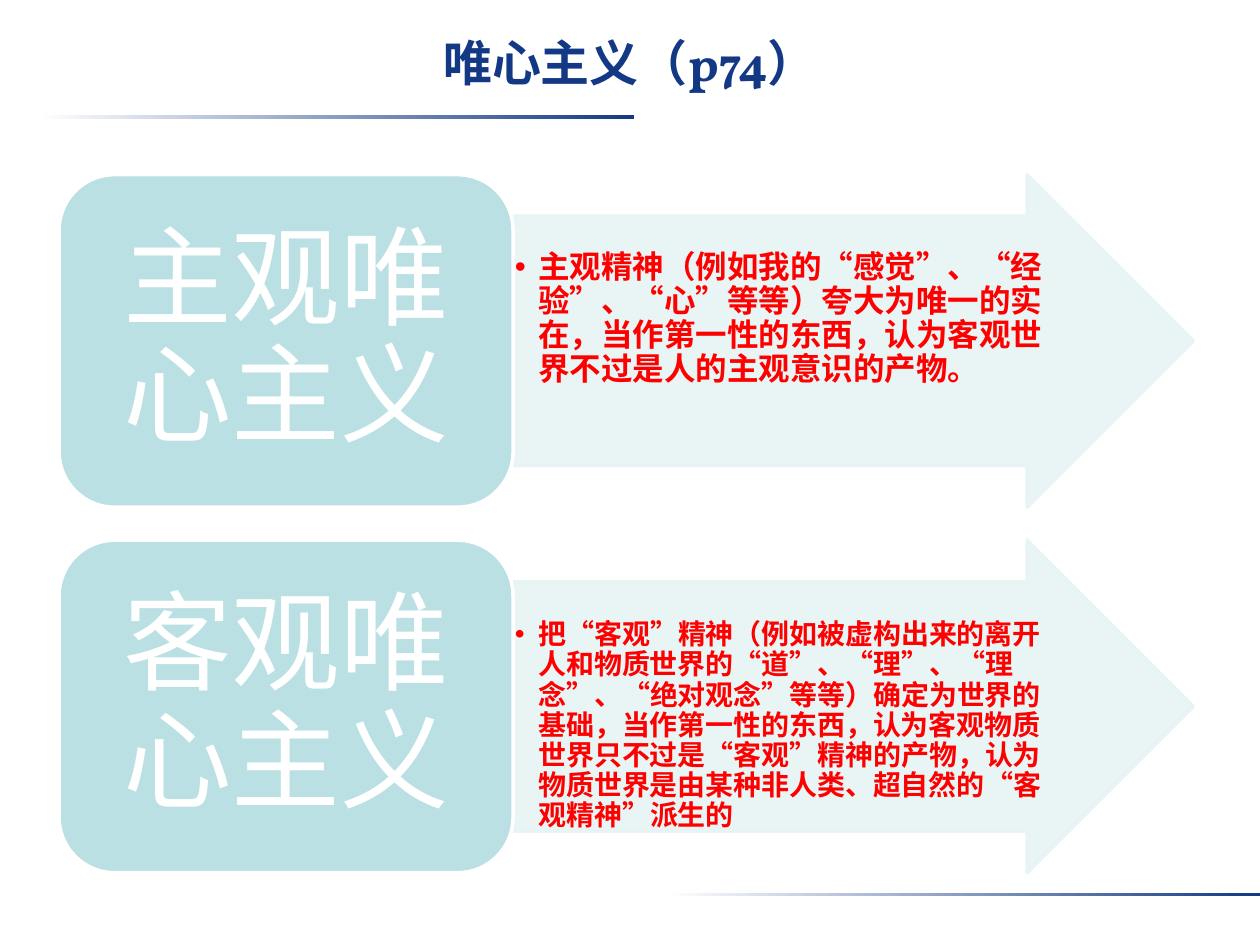
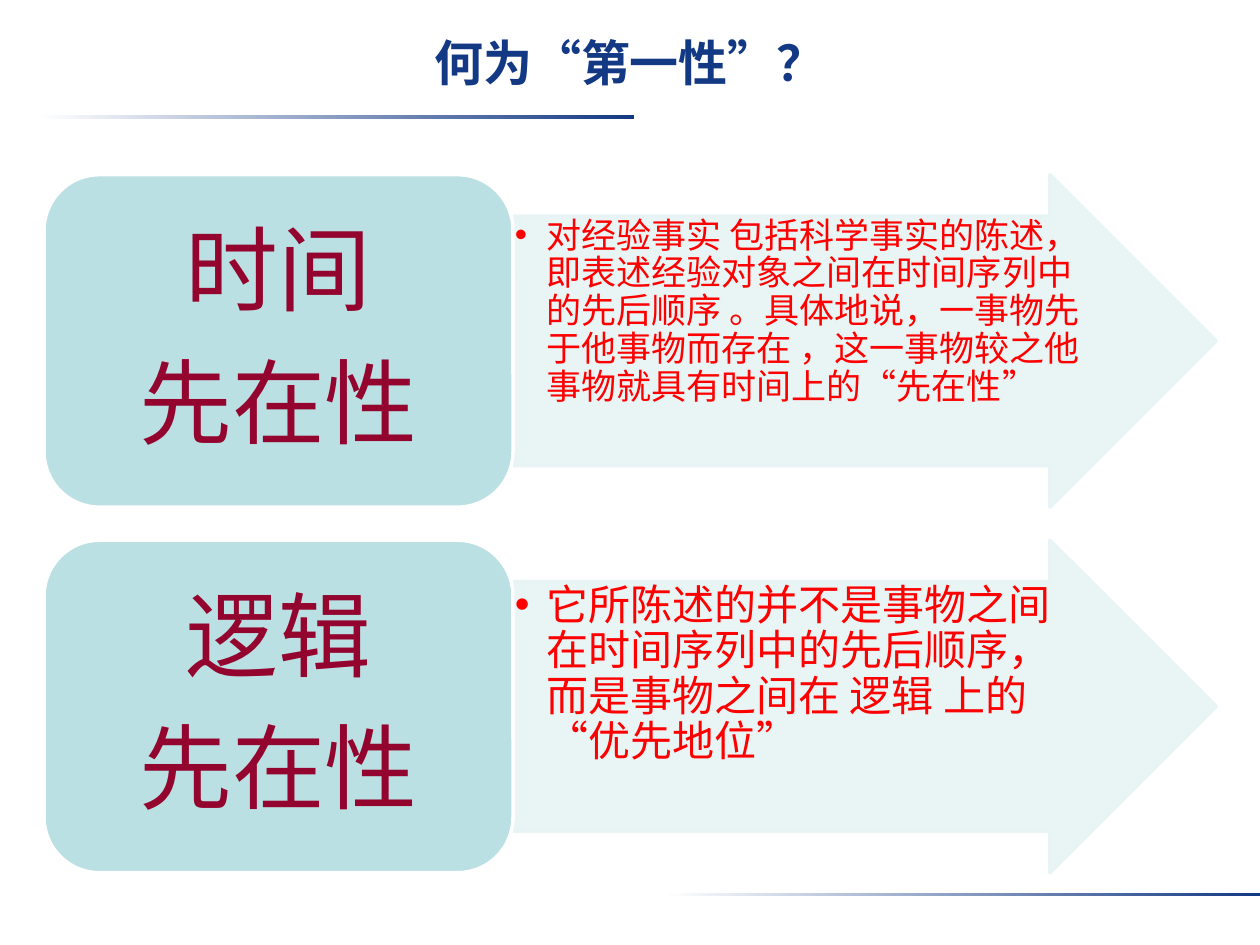
from itertools import groupby

from lxml.etree import SubElement
from pptx import Presentation
from pptx.dml.color import RGBColor
from pptx.enum.shapes import MSO_SHAPE as Shape
from pptx.enum.text import MSO_ANCHOR as Anchor, PP_ALIGN as Align
from pptx.oxml.ns import qn
from pptx.util import Pt

NAVY = RGBColor(0x13, 0x39, 0x84)
WHITE = RGBColor(0xFF, 0xFF, 0xFF)
TEAL = RGBColor(0xBB, 0xE0, 0xE3)
PALE = RGBColor(0xE7, 0xF3, 0xF4)
RED = RGBColor(0xFF, 0x00, 0x00)
WINE = RGBColor(0x93, 0x05, 0x2E)

SERIF, SANS, QUOTE_FONT = "Vollkorn", "Noto Sans CJK SC", "Arial"

SLIDE_WIDTH = 720
BAND_WIDTH = 340
BANDS = [(22.3, 65.7, 2.2), (SLIDE_WIDTH - BAND_WIDTH, 510, 1.9)]  # left, top, height
ROW_TOP, ROW_STEP, ROW_HEIGHT = 99.8, 208.9, 190
SPLIT = 293.2  # where the labels end and the arrows begin

# Each row: label, statement, size, hanging indent, top inset
SLIDES = [
    dict(title="唯心主义（p74）", label_left=33.8, arrow_width=388.8,
         label_size=62, label_color=WHITE, label_inset=18.7,
         body_font=SANS, bold=True,
         rows=[("主观唯心主义",
                "主观精神（例如我的“感觉”、“经验”、“心”等等）夸大为唯一的实在，"
                "当作第一性的东西，认为客观世界不过是人的主观意识的产物。",
                18, 13.5, 20.2),
               ("客观唯心主义",
                "把“客观”精神（例如被虚构出来的离开人和物质世界的“道”、“理”、“理念”、"
                "“绝对观念”等等）确定为世界的基础，当作第一性的东西，认为客观物质世界"
                "只不过是“客观”精神的产物，认为物质世界是由某种非人类、超自然的"
                "“客观精神”派生的",
                16, 13.5, 22.2)]),
    dict(title="何为“第一性”？", label_left=25.2, arrow_width=401.8,
         label_size=53, label_color=WINE, label_inset=15.8,
         body_font=SERIF, bold=False,
         rows=[("时间\n先在性",
                "对经验事实 包括科学事实的陈述， 即表述经验对象之间在时间序列中的先后顺序 。"
                "具体地说，一事物先于他事物而存在 ，这一事物较之他事物就具有时间上的“先在性”",
                20, 18, 1),
               ("逻辑\n先在性",
                "它所陈述的并不是事物之间在时间序列中的先后顺序， 而是事物之间在 逻辑 上的"
                " “优先地位”",
                24, 18, 1.4)]),
]


def write_text(shape, text, size, color, font=SERIF, bold=False, align=Align.CENTER,
               anchor=Anchor.TOP, insets=(0, 0, 0, 0), spacing=None, after=0, hanging=0):
    frame = shape.text_frame
    frame.word_wrap = True
    frame.vertical_anchor = anchor
    frame.margin_left, frame.margin_top, frame.margin_right, frame.margin_bottom = map(Pt, insets)
    for index, line in enumerate(text.split("\n")):
        paragraph = frame.add_paragraph() if index else frame.paragraphs[0]
        paragraph.alignment = align
        paragraph.line_spacing = spacing
        paragraph.space_after = Pt(after)
        if hanging:
            paragraph.level = 1
            properties = paragraph._p.get_or_add_pPr()
            properties.set("marL", str(Pt(hanging)))
            properties.set("indent", str(-Pt(hanging)))
            SubElement(properties, qn("a:buFont")).set("typeface", QUOTE_FONT)
            SubElement(properties, qn("a:buChar")).set("char", "•")
        # Quotation marks get their own font within sans text
        for quoted, letters in groupby(line, lambda letter: font == SANS and letter in "“”"):
            run = paragraph.add_run()
            run.text = "".join(letters)
            run.font.name = QUOTE_FONT if quoted else font
            run.font.size = Pt(size)
            run.font.bold = bold
            run.font.color.rgb = color
            SubElement(run.font._element, qn("a:ea")).set("typeface", SANS)


def add_block(slide, kind, left, top, width, height, fill=None, line=None, alpha=None):
    shape = slide.shapes.add_shape(kind, Pt(left), Pt(top), Pt(width), Pt(height))
    shape.shadow.inherit = False
    if fill is None:
        shape.fill.gradient()
        shape.fill.gradient_angle = 0
        for stop, color in zip(shape.fill.gradient_stops, (WHITE, NAVY)):
            stop.color.rgb = color
    else:
        shape.fill.solid()
        shape.fill.fore_color.rgb = fill
    if line is None:
        shape.line.fill.background()
    else:
        shape.line.color.rgb = line
        shape.line.width = Pt(2)
    if alpha:
        for color in shape._element.spPr.iter(qn("a:srgbClr")):
            SubElement(color, qn("a:alpha")).set("val", str(alpha * 1000))
    return shape


presentation = Presentation()
presentation.slide_width, presentation.slide_height = Pt(SLIDE_WIDTH), Pt(540)

for content in SLIDES:
    slide = presentation.slides.add_slide(presentation.slide_layouts[6])

    # Fading bands and title
    for left, top, height in BANDS:
        add_block(slide, Shape.RECTANGLE, left, top, BAND_WIDTH, height)
    title = slide.shapes.add_textbox(Pt(0), Pt(14.4), Pt(SLIDE_WIDTH), Pt(54))
    write_text(title, content["title"], 28, NAVY, bold=True, insets=(7.2, 4, 7.2, 3.6))

    for row, (label_text, statement, size, hanging, inset) in enumerate(content["rows"]):
        top = ROW_TOP + row * ROW_STEP

        # Arrow with its statement
        arrow = add_block(slide, Shape.RIGHT_ARROW, SPLIT, top, content["arrow_width"],
                          ROW_HEIGHT, PALE, PALE, alpha=90)
        arrow.adjustments[0], arrow.adjustments[1] = 0.75, 0.5
        write_text(arrow, statement, size, RED, font=content["body_font"],
                   bold=content["bold"], align=Align.LEFT, insets=(1, inset, 1, 1),
                   spacing=0.9, after=size * 0.15, hanging=hanging)

        # Rounded label
        label_left, margin = content["label_left"], content["label_inset"]
        label = add_block(slide, Shape.ROUNDED_RECTANGLE, label_left, top,
                          SPLIT - label_left, ROW_HEIGHT, TEAL, WHITE)
        write_text(label, label_text, content["label_size"], content["label_color"],
                   anchor=Anchor.MIDDLE, insets=(margin, margin / 2) * 2,
                   spacing=0.9, after=content["label_size"] * 0.35)

presentation.save("out.pptx")
